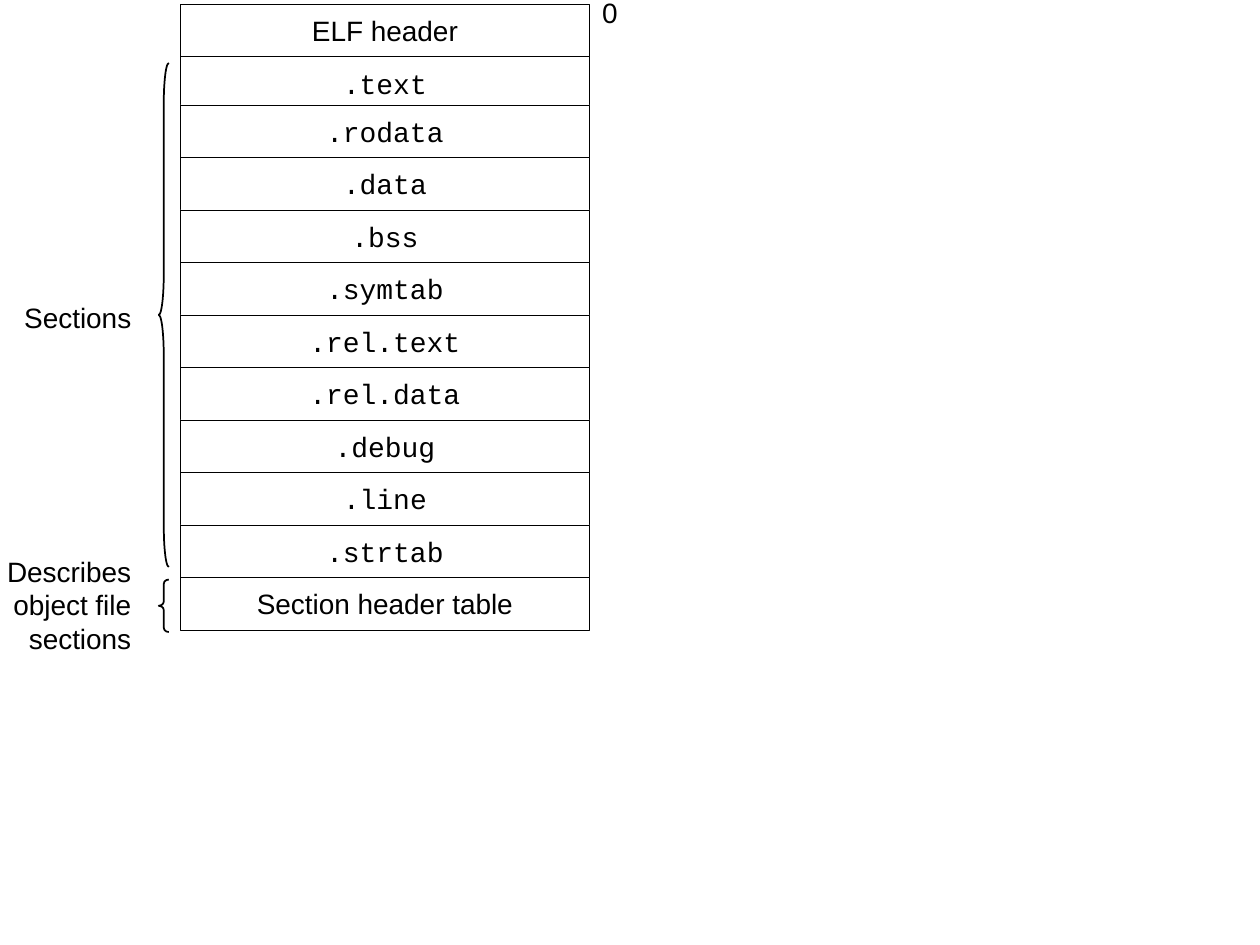
from pptx import Presentation
from pptx.dml.color import RGBColor
from pptx.enum.shapes import MSO_SHAPE
from pptx.enum.text import MSO_ANCHOR, MSO_AUTO_SIZE, PP_ALIGN
from pptx.util import Inches, Pt

SLIDE_WIDTH, SLIDE_HEIGHT = 10, 7.5
COLUMNS, ROWS = 100, 18
INK, PAPER = "000000", "FFFFFF"
SANS, MONO = "Arial", "Courier New"


def color(hex_string):
    return RGBColor.from_string(hex_string)


def write(frame, text, font=SANS, size=16, align=PP_ALIGN.LEFT, wrap=False):
    frame.word_wrap = wrap
    paragraph = frame.paragraphs[0]
    paragraph.alignment = align
    run = paragraph.add_run()
    run.text = text
    run.font.name = font
    run.font.size = Pt(size)
    run.font.color.rgb = color(INK)


class Diagram:
    """Draws on one slide; lengths are grid columns and rows."""

    def __init__(self, slide):
        self.shapes = slide.shapes

    def area(self, column, row, width, height):
        x_unit, y_unit = SLIDE_WIDTH / COLUMNS, SLIDE_HEIGHT / ROWS
        return [Inches(length) for length in
                (column * x_unit, row * y_unit, width * x_unit, height * y_unit)]

    def outline(self, kind, area, line_width):
        shape = self.shapes.add_shape(kind, *self.area(*area))
        shape.shadow.inherit = False
        shape.line.color.rgb = color(INK)
        shape.line.width = Pt(line_width)
        return shape

    def block(self, text, *area, font=MONO):
        block = self.outline(MSO_SHAPE.RECTANGLE, area, 0.25)
        block.fill.solid()
        block.fill.fore_color.rgb = color(PAPER)
        block.text_frame.vertical_anchor = MSO_ANCHOR.MIDDLE
        write(block.text_frame, text, font=font, align=PP_ALIGN.CENTER)

    def brace(self, *area, curl):
        brace = self.outline(MSO_SHAPE.LEFT_BRACE, area, 1)
        brace.fill.background()
        brace.adjustments[0] = curl
        brace.adjustments[1] = 0.5

    def label(self, text, *area, **style):
        frame = self.shapes.add_textbox(*self.area(*area)).text_frame
        write(frame, text, **style)
        frame.auto_size = MSO_AUTO_SIZE.SHAPE_TO_FIT_TEXT


def main():
    deck = Presentation()
    deck.slide_width, deck.slide_height = Inches(SLIDE_WIDTH), Inches(SLIDE_HEIGHT)
    diagram = Diagram(deck.slides.add_slide(deck.slide_layouts[6]))

    # Object file layout, top to bottom; the first two blocks sit slightly lower
    header, table = "ELF header", "Section header table"
    sections = [".text", ".rodata", ".data", ".bss", ".symtab", ".rel.text",
                ".rel.data", ".debug", ".line", ".strtab"]
    for row, name in enumerate([header, *sections, table]):
        top = row + 0.08 if row < 2 else row
        font = MONO if name in sections else SANS
        diagram.block(name, 14.3, top, 32.5, 1, font=font)

    # Start offset
    diagram.label("0", 46.8, -0.2, 3.2, 0.89)

    # Braces and what they group
    diagram.brace(12.6, 1.2, 0.8, 9.6, curl=4)
    diagram.brace(12.6, 11.04, 0.8, 1, curl=0.42)
    grouped = {"align": PP_ALIGN.RIGHT, "wrap": True}
    diagram.label("Sections", -2.1, 5.6, 13.5, 0.89, **grouped)
    diagram.label("Describes object file sections", -3.6, 10.44, 15, 2.16, **grouped)

    deck.save("out.pptx")


if __name__ == "__main__":
    main()
